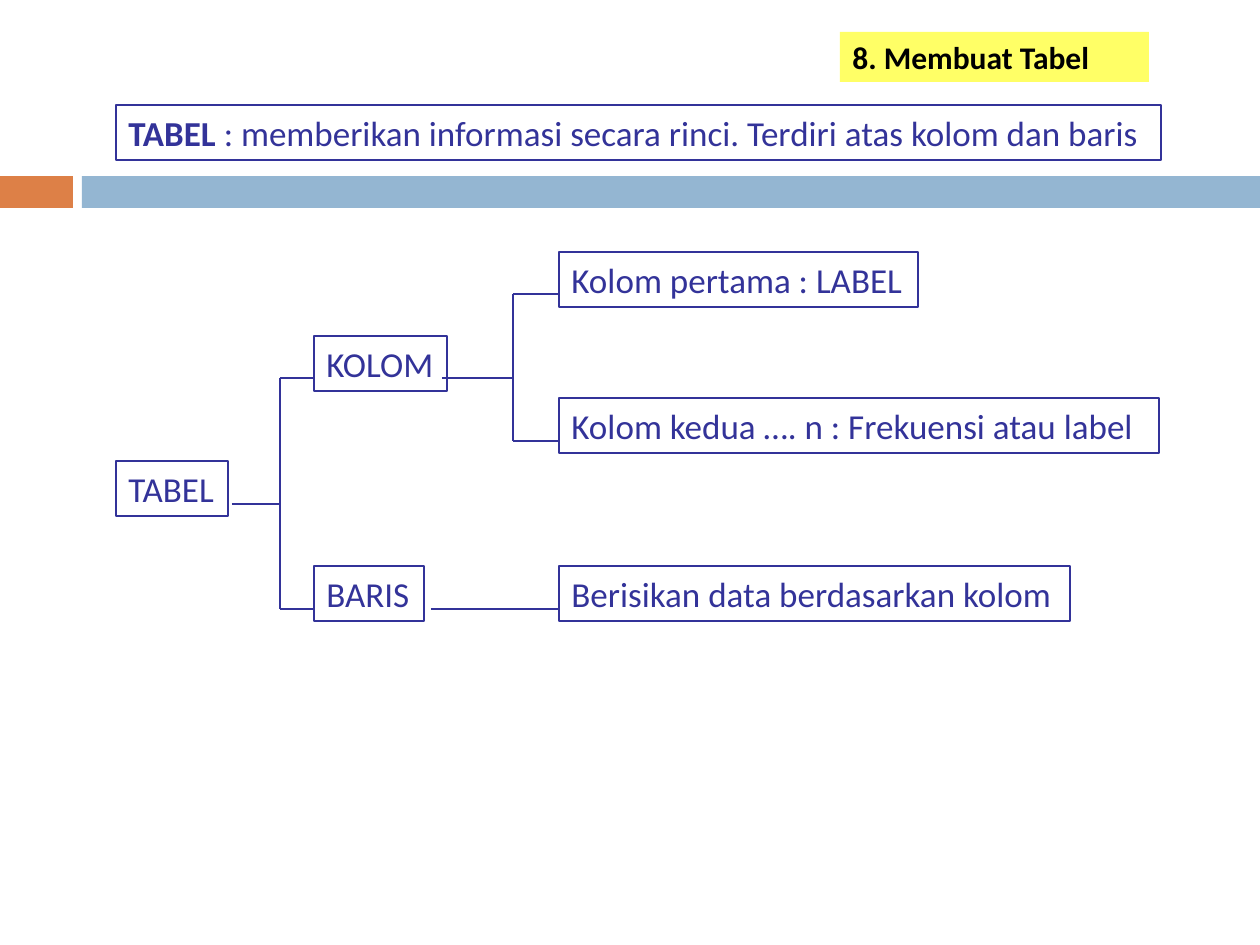
from dataclasses import dataclass
from pptx import Presentation
from pptx.dml.color import RGBColor
from pptx.enum.shapes import MSO_CONNECTOR as Link, MSO_SHAPE as Kind
from pptx.oxml.ns import qn
from pptx.util import Pt
from lxml.etree import SubElement

PX = 914400 // 126
HUES = {"ink": "333399", "black": "000000", "yellow": "FFFF66",
        "orange": "DD8047", "blue": "94B6D2"}


@dataclass
class Box:
    left: int
    top: int
    width: int
    text: str
    lead: str = ""


@dataclass
class Line:
    x1: int
    y1: int
    x2: int
    y2: int


def hue(name: str) -> RGBColor:
    return RGBColor.from_string(HUES[name])


def add_bar(left: int, top: int, width: int, height: int, fill: str = ""):
    bar = slide.shapes.add_shape(
        Kind.RECTANGLE, left * PX, top * PX, width * PX, height * PX)
    bar.shadow.inherit = False
    if fill:
        bar.fill.solid()
        bar.fill.fore_color.rgb = hue(fill)
        bar.line.fill.background()
    else:
        bar.fill.background()
        bar.line.color.rgb = hue("ink")
        bar.line.width = Pt(0.75)
    return bar


def add_text(bar, text: str, size: int, color: str, lead: str = "",
             bold: bool = False) -> None:
    frame = bar.text_frame
    frame.word_wrap = True
    frame.margin_right = 0
    para = frame.paragraphs[0]
    para.alignment = 1
    font = para.font
    font.name, font.size, font.bold = "Calibri", Pt(size), bold
    font.color.rgb = hue(color)
    if lead:
        para.add_run().text = lead
        para.runs[0].font.bold = True
    para.add_run().text = text


def add_box(box: Box) -> None:
    bar = add_bar(box.left, box.top, box.width, 55)
    add_text(bar, box.text, 20, "ink", box.lead)


def add_line(line: Line) -> None:
    link = slide.shapes.add_connector(
        Link.STRAIGHT, line.x1 * PX, line.y1 * PX, line.x2 * PX, line.y2 * PX)
    link.line.color.rgb = hue("ink")
    link.line.width = Pt(0.75)
    SubElement(link._element.spPr, qn("a:effectLst"))


deck = Presentation()
deck.slide_width, deck.slide_height = 1260 * PX, 945 * PX
slide = deck.slides.add_slide(deck.slide_layouts[6])

# Header band
add_bar(0, 176, 73, 32, "orange")
add_bar(82, 176, 1178, 32, "blue")

# Title
title = add_bar(840, 32, 309, 50, "yellow")
add_text(title, "8. Membuat Tabel", 18, "black", bold=True)

# Definition and tree nodes
ROOT, MID, LEAF = 116, 314, 559
for box in (
    Box(ROOT, 105, 1045,
        ": memberikan informasi secara rinci. Terdiri atas kolom dan baris",
        "TABEL "),
    Box(ROOT, 461, 112, "TABEL"),
    Box(MID, 336, 133, "KOLOM"),
    Box(LEAF, 252, 359, "Kolom pertama : LABEL"),
    Box(LEAF, 398, 600, "Kolom kedua …. n : Frekuensi atau label"),
    Box(MID, 566, 110, "BARIS"),
    Box(LEAF, 566, 511, "Berisikan data berdasarkan kolom"),
):
    add_box(box)

# Branches: stem, trunk and two arms each
for start, trunk, end, stem, top, low in (
    (232, 280, MID, 504, 378, 609),
    (442, 513, LEAF, 378, 294, 441),
):
    add_line(Line(start, stem, trunk, stem))
    add_line(Line(trunk, top, trunk, low))
    for arm in (top, low):
        add_line(Line(trunk, arm, end, arm))

# Row link
add_line(Line(431, 609, LEAF, 609))

deck.save("out.pptx")
